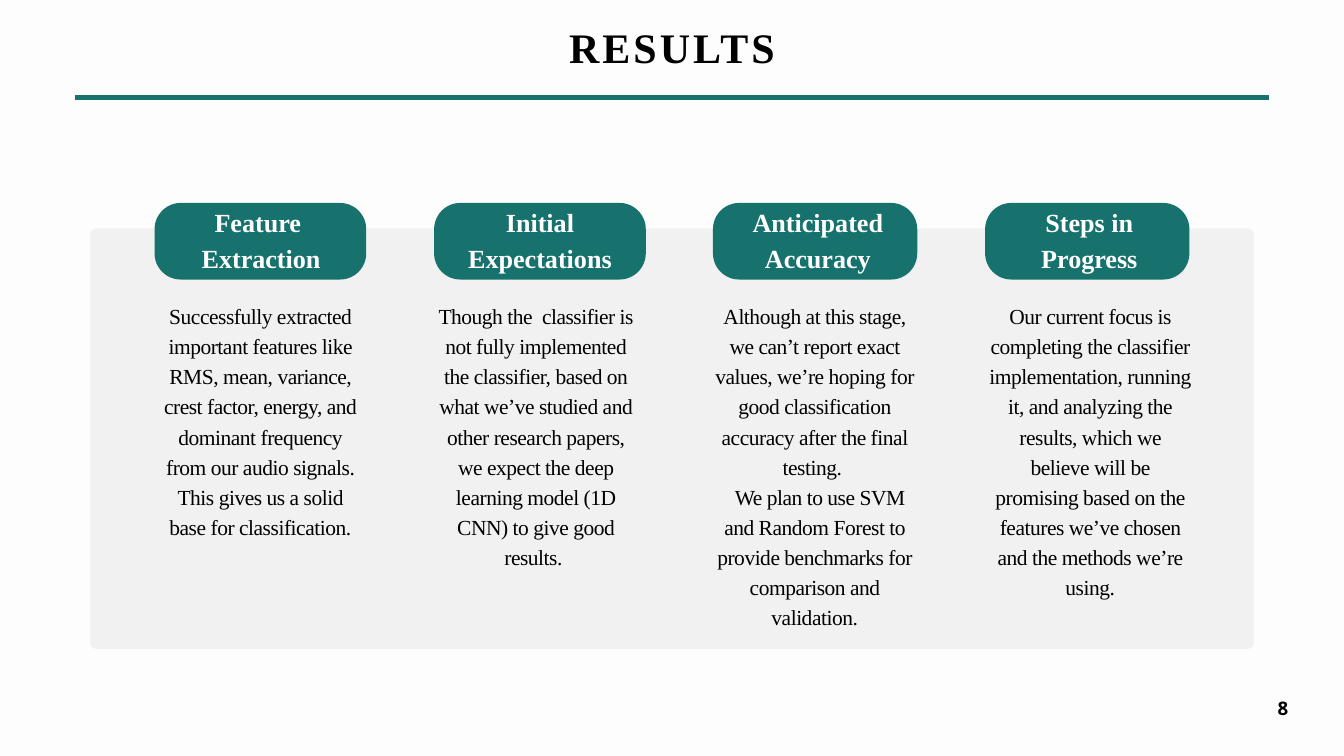
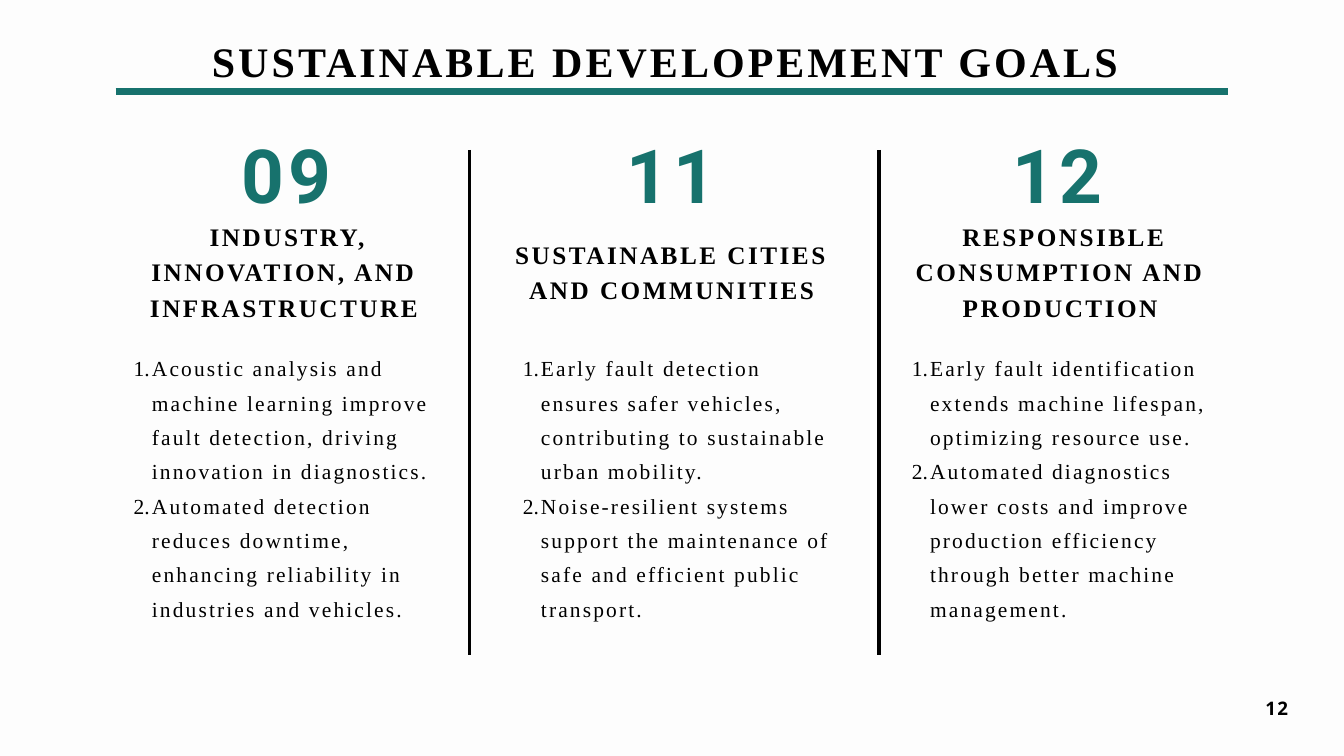
import dataclasses

import lxml.etree
import pptx
import pptx.dml.color
import pptx.enum.shapes
import pptx.enum.text
import pptx.oxml.ns
import pptx.util

EMU_PER_PX = 9144
PAGE_WIDTH, PAGE_HEIGHT = 2000, 1125

TEAL = pptx.dml.color.RGBColor(0x17, 0x72, 0x6D)
BLACK = pptx.dml.color.RGBColor(0, 0, 0)
WHITE = pptx.dml.color.RGBColor(0xFF, 0xFF, 0xFF)
PAPER = pptx.dml.color.RGBColor(0xFD, 0xFD, 0xFD)
PANEL_GREY = pptx.dml.color.RGBColor(0xF2, 0xF1, 0xF1)

ALIGN = pptx.enum.text.PP_ALIGN
SERIF = "Times New Roman"


@dataclasses.dataclass(frozen=True)
class Area:
    left: int
    top: int
    width: int
    height: int

    def emu(self) -> list[int]:
        return [px(self.left), px(self.top), px(self.width), px(self.height)]


@dataclasses.dataclass(frozen=True)
class TextStyle:
    size: int
    line_height: float
    spacing: float = 0
    bold: bool = True
    color: pptx.dml.color.RGBColor = BLACK
    font: str = SERIF
    align: ALIGN = ALIGN.CENTER
    numbered: bool = False


@dataclasses.dataclass(frozen=True)
class ResultCard:
    left: int
    width: int
    title_left: int
    body_left: int
    body_height: int
    title: list[str]
    body: list[str]


@dataclasses.dataclass(frozen=True)
class Goal:
    number: str
    heading: str
    heading_lines: int
    list_height: int
    points: list[str]


TITLE = TextStyle(45, 63, 3.3)
PAGE_NUMBER = TextStyle(20, 31, 1.5, font="Open Sans", align=ALIGN.RIGHT)
CARD_TITLE = TextStyle(28, 39.2, color=WHITE)
CARD_BODY = TextStyle(23, 32.2, -0.5, bold=False)
GOAL_NUMBER = TextStyle(80, 112, 4, color=TEAL, font="Roboto")
GOAL_HEADING = TextStyle(27, 37.8, 2.7)
GOAL_POINTS = TextStyle(23, 36.8, 2.3, bold=False, align=ALIGN.LEFT, numbered=True)

RESULT_CARDS = [
    ResultCard(
        230, 315, 231, 236, 395, ["Feature ", "Extraction"],
        ["Successfully extracted important features like RMS, mean, variance, "
         "crest factor, energy, and dominant frequency from our audio signals. "
         "This gives us a solid base for classification."],
    ),
    ResultCard(
        646, 315, 646, 646, 439, ["Initial Expectations"],
        ["Though the  classifier is not fully implemented the classifier, based on "
         "what we’ve studied and other research papers, we expect the deep "
         "learning model (1D CNN) to give good results. "],
    ),
    ResultCard(
        1061, 304, 1065, 1061, 483, ["Anticipated Accuracy"],
        ["Although at this stage, we can’t report exact values, we’re hoping for "
         "good classification accuracy after the final testing. ",
         "We plan to use SVM and Random Forest to provide benchmarks for "
         "comparison and validation."],
    ),
    ResultCard(
        1466, 304, 1469, 1471, 483, ["Steps in", "Progress"],
        ["Our current focus is completing the classifier implementation, running "
         "it, and analyzing the results, which we believe will be promising based "
         "on the features we’ve chosen and the methods we’re using."],
    ),
]

GOALS = [
    Goal(
        "09", " INDUSTRY, INNOVATION, AND INFRASTRUCTURE", 3, 406,
        ["Acoustic analysis and machine learning improve fault detection, driving "
         "innovation in diagnostics.",
         "Automated detection reduces downtime, enhancing reliability in "
         "industries and vehicles."],
    ),
    Goal(
        "11", "SUSTAINABLE CITIES AND COMMUNITIES", 2, 458,
        ["Early fault detection ensures safer vehicles, contributing to "
         "sustainable urban mobility.",
         "Noise-resilient systems support the maintenance of safe and efficient "
         "public transport."],
    ),
    Goal(
        "12", " RESPONSIBLE CONSUMPTION AND PRODUCTION", 3, 406,
        ["Early fault identification extends machine lifespan, optimizing resource use.",
         "Automated diagnostics lower costs and improve production efficiency "
         "through better machine management."],
    ),
]


def px(length: int) -> int:
    return length * EMU_PER_PX


def indent_paragraph(para, margin: int, first_line: int) -> None:
    properties = para._p.get_or_add_pPr()
    properties.set("marL", str(px(margin)))
    properties.set("indent", str(px(first_line)))


def number_paragraph(para) -> None:
    para.level = 1
    indent_paragraph(para, 54, -27)
    lxml.etree.SubElement(
        para._p.get_or_add_pPr(), pptx.oxml.ns.qn("a:buAutoNum"), type="arabicPeriod"
    )


def add_text(page, area: Area, lines: list[str], style: TextStyle, middle: bool = False):
    box = page.shapes.add_textbox(*area.emu())
    frame = box.text_frame
    frame.word_wrap = True
    frame.margin_left = frame.margin_top = frame.margin_right = frame.margin_bottom = 0
    if middle:
        frame.vertical_anchor = pptx.enum.text.MSO_ANCHOR.MIDDLE
    else:
        frame.auto_size = pptx.enum.text.MSO_AUTO_SIZE.SHAPE_TO_FIT_TEXT
    for index, line in enumerate(lines):
        para = frame.add_paragraph() if index else frame.paragraphs[0]
        para.alignment = style.align
        para.line_spacing = pptx.util.Pt(style.line_height)
        if style.numbered:
            number_paragraph(para)
        span = para.add_run()
        span.text = line
        span.font.name = style.font
        span.font.size = pptx.util.Pt(style.size)
        span.font.bold = style.bold
        span.font.color.rgb = style.color
        if style.spacing:
            span._r.get_or_add_rPr().set("spc", str(round(style.spacing * 100)))
    return box


def add_rounded(page, area: Area, radius: int, color: pptx.dml.color.RGBColor) -> None:
    shape = page.shapes.add_shape(
        pptx.enum.shapes.MSO_SHAPE.ROUNDED_RECTANGLE, *area.emu()
    )
    shape.adjustments[0] = radius / min(area.width, area.height)
    shape.shadow.inherit = False
    shape.fill.solid()
    shape.fill.fore_color.rgb = color
    shape.line.fill.background()


def add_line(
    page, start: tuple[int, int], end: tuple[int, int],
    color: pptx.dml.color.RGBColor, weight: float,
) -> None:
    line = page.shapes.add_connector(
        pptx.enum.shapes.MSO_CONNECTOR.STRAIGHT, *map(px, start + end)
    )
    line.line.color.rgb = color
    line.line.width = pptx.util.Pt(weight)
    lxml.etree.SubElement(line._element.spPr, pptx.oxml.ns.qn("a:effectLst"))


def add_page(
    deck, title: str, title_area: Area, rule_left: int, rule_top: int,
    rule_weight: float, number: str,
):
    page = deck.slides.add_slide(deck.slide_layouts[6])
    page.background.fill.solid()
    page.background.fill.fore_color.rgb = PAPER
    add_text(page, title_area, [title], TITLE)
    add_line(
        page, (rule_left, rule_top), (PAGE_WIDTH - rule_left, rule_top), TEAL, rule_weight
    )
    number_width = 18 * len(number)
    add_text(page, Area(1917 - number_width, 1027, number_width, 40), [number], PAGE_NUMBER)
    return page


def build_results(deck) -> None:
    page = add_page(deck, "RESULTS", Area(564, 20, 872, 93), 112, 145, 6, "8")
    add_rounded(page, Area(134, 340, 1732, 626), 10, PANEL_GREY)
    for card in RESULT_CARDS:
        add_rounded(page, Area(card.left, 302, card.width, 114), 39, TEAL)
        title_area = Area(card.title_left, 279, card.width, 149)
        add_text(page, title_area, card.title, CARD_TITLE, middle=True)
        body_area = Area(card.body_left, 445, 303, card.body_height)
        body = add_text(page, body_area, card.body, CARD_BODY)
        for para in body.text_frame.paragraphs[1:]:
            indent_paragraph(para, 0, 15)


def build_goals(deck) -> None:
    page = add_page(
        deck, "SUSTAINABLE DEVELOPEMENT GOALS ", Area(0, 40, PAGE_WIDTH, 88),
        172, 136, 8, "12",
    )
    for index, goal in enumerate(GOALS):
        number_area = Area(172 + index * 1147 // 2, 170, 509, 150)
        add_text(page, number_area, [goal.number], GOAL_NUMBER)
        heading_height = goal.heading_lines * 105 // 2
        heading_area = Area(
            172 + index * 1155 // 2, 400 - heading_height // 2, 501, heading_height
        )
        add_text(page, heading_area, [goal.heading], GOAL_HEADING)
        list_area = Area(172 + index * 579, 516, 498, goal.list_height)
        add_text(page, list_area, goal.points, GOAL_POINTS)
    for left in (699, 1308):
        add_line(page, (left, 223), (left, 974), BLACK, 3.75)


def main() -> None:
    deck = pptx.Presentation()
    deck.slide_width = px(PAGE_WIDTH)
    deck.slide_height = px(PAGE_HEIGHT)
    build_results(deck)
    build_goals(deck)
    deck.save("out.pptx")


if __name__ == "__main__":
    main()
